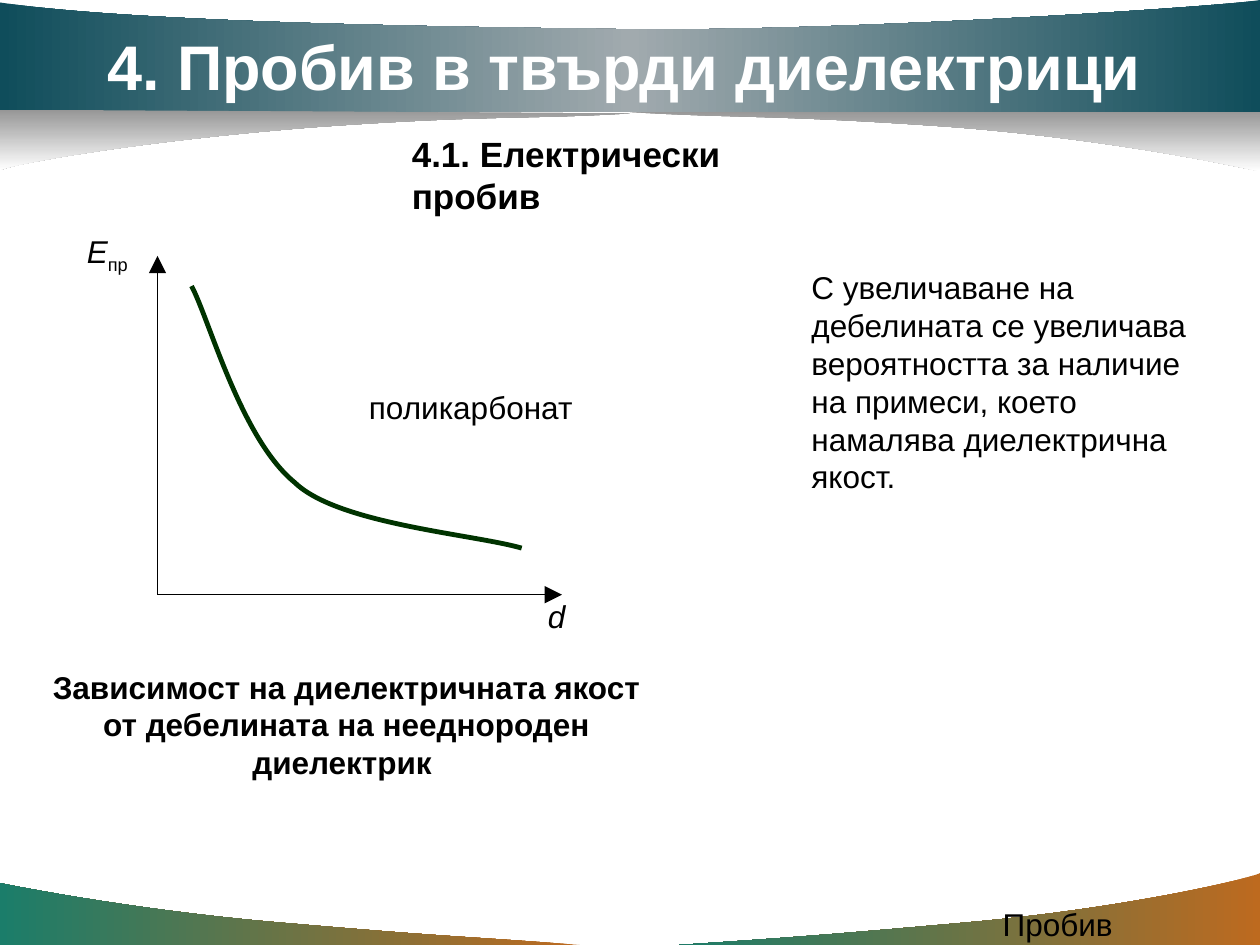
from copy import deepcopy
from dataclasses import dataclass

from lxml.etree import SubElement
from pptx import Presentation
from pptx.dml.color import RGBColor
from pptx.enum.shapes import MSO_CONNECTOR
from pptx.enum.text import MSO_ANCHOR, MSO_AUTO_SIZE, PP_ALIGN
from pptx.oxml.ns import qn
from pptx.shapes.autoshape import Shape
from pptx.util import Inches, Pt

BLACK = RGBColor(0x00, 0x00, 0x00)
WHITE = RGBColor(0xFF, 0xFF, 0xFF)
ORANGE = RGBColor(0xBD, 0x6A, 0x1F)
GREEN = RGBColor(0x1B, 0x7D, 0x6A)
GREY = RGBColor(0x96, 0x96, 0x96)
TEAL = RGBColor(0x0F, 0x4D, 0x5B)
SILVER = RGBColor(0xA1, 0xAA, 0xAE)
DARK_GREEN = RGBColor(0x00, 0x33, 0x00)

FONT = "Arial"
LEFTWARD, DOWNWARD = 180, 270

Point = tuple[float, float]
Bezier = tuple[Point, Point, Point]


@dataclass(frozen=True)
class Band:
    start: Point
    curves: tuple[Bezier, ...]
    corners: tuple[Point, ...]
    colors: tuple[RGBColor, ...]
    angle: int


@dataclass(frozen=True)
class Piece:
    text: str
    italic: bool = False
    baseline: int = 0


@dataclass(frozen=True)
class Label:
    box: tuple[float, float, float, float]
    pieces: tuple[Piece, ...]
    size: int = 18
    color: RGBColor = BLACK
    bold: bool = False
    align: PP_ALIGN = PP_ALIGN.LEFT


BANDS = (
    Band((4.6, 7.5),
         (((3.84, 7.44), (3.58, 7.44), (2.32, 7.33)),
          ((1.06, 7.23), (0.01, 7.01), (0, 7.01))),
         ((0, 7.5),), (ORANGE, GREEN), LEFTWARD),
    Band((5.39, 7.5),
         (((6.14, 7.45), (6.46, 7.43), (7.69, 7.32)),
          ((8.92, 7.21), (9.9, 6.98), (10, 6.93))),
         ((10, 7.5),), (ORANGE, GREEN), LEFTWARD),
    Band((5, 0.89),
         (((5.84, 0.94), (6.2, 0.91), (7.58, 1.01)),
          ((8.97, 1.12), (9.98, 1.36), (10, 1.36))),
         ((10, 0.88),), (GREY, WHITE), DOWNWARD),
    Band((10, 0),
         (((9.64, 0.06), (6.53, 0.26), (4.87, 0.23)),
          ((3.21, 0.21), (1.01, 0.17), (0, 0.02))),
         ((0, 0.89), (10, 0.89)), (TEAL, SILVER, TEAL), LEFTWARD),
    Band((5, 0.9),
         (((4.16, 0.95), (3.88, 0.91), (2.49, 1.01)),
          ((1.1, 1.12), (0.11, 1.3), (0, 1.35))),
         ((0, 0.87),), (GREY, WHITE), DOWNWARD),
)

TITLE = Label((0.75, 0.17, 8.44, 0.7), (Piece("4. Пробив в твърди диелектрици"),),
              size=36, color=WHITE, bold=True)
EXPLANATION = Label((6.34, 2.08, 3.2, 1.9), (Piece(
    "С увеличаване на дебелината се увеличава вероятността за наличие "
    "на примеси, което намалява диелектрична якост."),))
SLIDE_LABELS = (
    Label((7.86, 7.13, 2.08, 0.25), (Piece("Пробив"),)),
    Label((3.17, 1, 3.7, 0.43), (Piece("4.1. Електрически пробив"),), size=20, bold=True),
    Label((0.25, 5.25, 5, 1), (Piece(
        "Зависимост на диелектричната якост от дебелината на нееднороден диелектрик "),),
        bold=True, align=PP_ALIGN.CENTER),
)
GRAPH_LABELS = (
    Label((0.59, 1.79, 0.55, 0.4), (Piece("E", italic=True), Piece("пр", baseline=-25000))),
    Label((4.25, 4.69, 0.34, 0.4), (Piece("d", italic=True),)),
    Label((2.83, 3.03, 1.82, 0.4), (Piece("поликарбонат"),)),
)
ORIGIN = (1.25, 4.72)
AXIS_ENDS = ((4.46, 4.72), (1.25, 2.03))
STRENGTH_START = (1.52, 2.27)
STRENGTH_CURVES = (
    ((1.66, 2.53), (1.91, 3.48), (2.34, 3.83)),
    ((2.68, 4.16), (3.76, 4.24), (4.14, 4.35)),
)


def draw_outline(shapes, start: Point, curves: tuple[Bezier, ...],
                 corners: tuple[Point, ...] = ()) -> Shape:
    points = [point for curve in curves for point in curve] + list(corners)
    builder = shapes.build_freeform(Inches(start[0]), Inches(start[1]))
    builder.add_line_segments([(Inches(x), Inches(y)) for x, y in points],
                              close=bool(corners))
    outline = builder.convert_to_shape()
    outline.shadow.inherit = False
    segments = list(outline._element.iter(qn("a:lnTo")))
    for index in range(len(curves)):
        controls = segments[3 * index:3 * index + 3]
        bend = SubElement(controls[0].getparent(), qn("a:cubicBezTo"))
        controls[0].addprevious(bend)
        for segment in controls:
            bend.append(segment[0])
            segment.getparent().remove(segment)
    return outline


def draw_band(shapes, band: Band) -> None:
    outline = draw_outline(shapes, band.start, band.curves, band.corners)
    outline.line.fill.background()
    outline.fill.gradient()
    outline.fill.gradient_angle = band.angle
    stop_list = next(outline._element.iter(qn("a:gsLst")))
    for _ in band.colors[2:]:
        stop_list.append(deepcopy(stop_list[0]))
    for index, (stop, color) in enumerate(zip(outline.fill.gradient_stops, band.colors)):
        stop.color.rgb = color
        stop.position = index / (len(band.colors) - 1)


def write_label(holder, label: Label) -> None:
    holder.left, holder.top, holder.width, holder.height = map(Inches, label.box)
    frame = holder.text_frame
    frame.word_wrap = True
    frame.auto_size = MSO_AUTO_SIZE.NONE
    frame.vertical_anchor = MSO_ANCHOR.TOP
    paragraph = frame.paragraphs[0]
    paragraph.alignment = label.align
    paragraph.space_before = Pt(0)
    for piece in label.pieces:
        run = paragraph.add_run()
        run.text = piece.text
        font = run.font
        font.name = FONT
        font.size = Pt(label.size)
        font.bold = label.bold
        font.italic = piece.italic
        font.color.rgb = label.color
        if piece.baseline:
            font._element.set("baseline", str(piece.baseline))


def add_label(shapes, label: Label) -> None:
    write_label(shapes.add_textbox(*map(Inches, label.box)), label)


def draw_axis(shapes, end: Point) -> None:
    axis = shapes.add_connector(MSO_CONNECTOR.STRAIGHT, *map(Inches, ORIGIN + end))
    axis.line.color.rgb = BLACK
    axis.line.width = Pt(0.75)
    SubElement(axis.line._get_or_add_ln(), qn("a:tailEnd"),
               type="triangle", w="lg", len="lg")
    SubElement(axis._element.spPr, qn("a:effectLst"))


def draw_graph(shapes) -> None:
    for end in AXIS_ENDS:
        draw_axis(shapes, end)
    strength = draw_outline(shapes, STRENGTH_START, STRENGTH_CURVES)
    strength.fill.background()
    strength.line.color.rgb = DARK_GREEN
    strength.line.width = Pt(2.75)
    for label in GRAPH_LABELS:
        add_label(shapes, label)


def main() -> None:
    deck = Presentation()
    deck.slide_width, deck.slide_height = Inches(10), Inches(7.5)
    slide = deck.slides.add_slide(deck.slide_layouts[1])
    shapes = slide.shapes
    title, explanation = shapes.title, slide.placeholders[1]
    for band in BANDS:
        draw_band(shapes, band)
    for holder, label in ((title, TITLE), (explanation, EXPLANATION)):
        shapes._spTree.append(holder._element)
        write_label(holder, label)
    properties = explanation.text_frame.paragraphs[0]._p.get_or_add_pPr()
    properties.set("marL", "0")
    properties.set("indent", "0")
    SubElement(properties, qn("a:buNone"))
    for label in SLIDE_LABELS:
        add_label(shapes, label)
    draw_graph(shapes.add_group_shape().shapes)
    deck.save("out.pptx")


if __name__ == "__main__":
    main()
